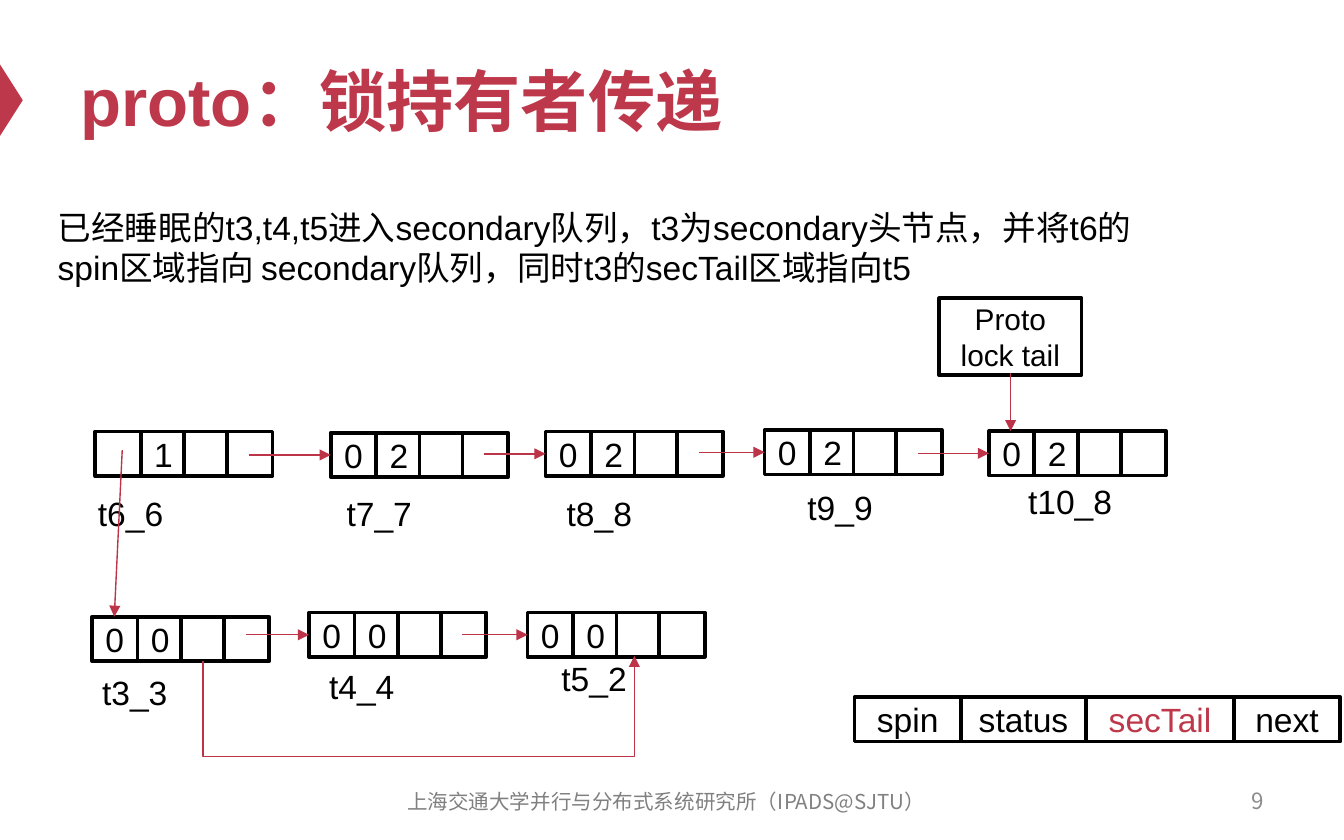
from lxml import etree
from pptx import Presentation
from pptx.dml.color import RGBColor
from pptx.enum import shapes, text
from pptx.oxml.ns import qn
from pptx.util import Cm, Pt

RED = RGBColor(0xBE, 0x38, 0x4B)
ARROW_RED = RGBColor(0xBD, 0x33, 0x47)
BLACK = RGBColor(0, 0, 0)
WHITE = RGBColor(255, 255, 255)
GRAY = RGBColor(0x80, 0x80, 0x80)
LIGHT_GRAY = RGBColor(0x8C, 0x8C, 0x8C)
LATIN, CJK = "Arial", "Noto Sans CJK SC"
LEFT, CENTER, RIGHT = text.PP_ALIGN.LEFT, text.PP_ALIGN.CENTER, text.PP_ALIGN.RIGHT

TITLE = "proto：锁持有者传递"
BODY = ("已经睡眠的t3,t4,t5进入secondary队列，t3为secondary头节点，"
        "并将t6的spin区域指向 secondary队列，同时t3的secTail区域指向t5")
FOOTER = "上海交通大学并行与分布式系统研究所（IPADS@SJTU）"
# Each queue: (left, top, spin, status, label, label left, label top), in cm
QUEUES = [
    [(1.8, 8.16, "", "1", "t6_6", 1.6, 9.19),
     (6.25, 8.18, "0", "2", "t7_7", 6.3, 9.19),
     (10.31, 8.16, "0", "2", "t8_8", 10.46, 9.19),
     (14.45, 8.13, "0", "2", "t9_9", 15.01, 9.09),
     (18.69, 8.15, "0", "2", "t10_8", 19.18, 8.97)],
    [(1.74, 11.66, "0", "0", "t3_3", 1.68, 12.57),
     (5.84, 11.58, "0", "0", "t4_4", 5.97, 12.47),
     (9.97, 11.58, "0", "0", "t5_2", 10.36, 12.32)],
]
FIELDS = [("spin", 2.01, BLACK), ("status", 2.37, BLACK),
          ("secTail", 2.79, RED), ("next", 2.01, BLACK)]
CELL_OFFSETS = (0, 0.86, 1.68, 2.49)
CELL_W, CELL_H = 0.86, 0.84
NEXT_START = 2.9  # where a node's next arrow starts, from its left edge


def write(tf, lines, size=18, color=BLACK, align=LEFT, font=LATIN,
          bold=False, anchor=text.MSO_ANCHOR.MIDDLE):
    tf.word_wrap = True
    tf.vertical_anchor = anchor
    for i, line in enumerate(lines):
        p = tf.add_paragraph() if i else tf.paragraphs[0]
        p.text = line
        p.alignment = align
        f = p.font
        f.size, f.bold, f.name = Pt(size), bold, font
        f.color.rgb = color
        etree.SubElement(f._element, qn("a:ea")).set("typeface", CJK)


def text_box(slide, box, line, **style):
    write(slide.shapes.add_textbox(*map(Cm, box)).text_frame, [line], **style)


def cell(slide, box, lines, **style):
    sp = slide.shapes.add_shape(shapes.MSO_SHAPE.RECTANGLE, *map(Cm, box))
    sp.shadow.inherit = False
    sp.fill.solid()
    sp.fill.fore_color.rgb = WHITE
    sp.line.color.rgb = BLACK
    sp.line.width = Pt(2)
    tf = sp.text_frame
    tf.margin_left = tf.margin_right = 0
    if any(lines):
        write(tf, lines, align=CENTER, **style)


def arrow(slide, *ends, kind=shapes.MSO_CONNECTOR.STRAIGHT):
    c = slide.shapes.add_connector(kind, *map(Cm, ends))
    c.line.color.rgb = ARROW_RED
    c.line.width = Pt(0.75)
    etree.SubElement(c.line._get_or_add_ln(), qn("a:tailEnd")).set("type", "triangle")
    etree.SubElement(c._element.spPr, qn("a:effectLst"))
    return c


def u_arrow(slide, x1, y1, x2, y2, bottom):
    """Elbow arrow that drops to bottom and rises to its end: a quarter-turned connector."""
    cx, cy = (x1 + x2) / 2, (y1 + y2) / 2
    dx, dy = (x2 - x1) / 2, (y1 - y2) / 2
    c = arrow(slide, cx + dy, cy + dx, cx - dy, cy - dx,
              kind=shapes.MSO_CONNECTOR.ELBOW)
    sp_pr = c._element.spPr
    sp_pr.find(qn("a:xfrm")).set("rot", "5400000")
    geom = sp_pr.find(qn("a:prstGeom"))
    av = geom.find(qn("a:avLst"))
    if av is None:
        av = etree.SubElement(geom, qn("a:avLst"))
    gd = etree.SubElement(av, qn("a:gd"))
    gd.set("name", "adj1")
    gd.set("fmla", f"val {round(-(bottom - y1) / (y1 - y2) * 100000)}")


def main():
    prs = Presentation()
    prs.slide_width, prs.slide_height = Cm(25.4), Cm(15.88)
    s = prs.slides.add_slide(prs.slide_layouts[6])

    marker = s.shapes.add_shape(shapes.MSO_SHAPE.ISOSCELES_TRIANGLE,
                                Cm(-0.46), Cm(1.68), Cm(1.35), Cm(0.43))
    marker.rotation = 90
    marker.shadow.inherit = False
    marker.fill.solid()
    marker.fill.fore_color.rgb = RED
    marker.line.fill.background()

    text_box(s, (1.27, 0.64, 22.86, 2.49), TITLE, size=36, color=RED, bold=True)
    text_box(s, (0.84, 3.78, 21.87, 1.8), BODY, anchor=text.MSO_ANCHOR.TOP)
    text_box(s, (7.09, 14.73, 11, 0.84), FOOTER, size=11, color=GRAY,
             align=CENTER, font=CJK)
    text_box(s, (18.21, 14.71, 5.92, 0.84), "9", size=12, color=LIGHT_GRAY,
             align=RIGHT, font=CJK)

    for queue in QUEUES:
        for left, top, spin, status, label, label_x, label_y in queue:
            for dx, value in zip(CELL_OFFSETS, (spin, status, "", "")):
                cell(s, (left + dx, top, CELL_W, CELL_H), [value])
            text_box(s, (label_x, label_y, 2.6, 1.02), label,
                     anchor=text.MSO_ANCHOR.TOP)
        for node, following in zip(queue, queue[1:]):
            y = following[1] + CELL_H / 2
            arrow(s, node[0] + NEXT_START, y, following[0], y)

    cell(s, (17.75, 5.64, 2.69, 1.45), ["Proto", "lock tail"], size=16)
    arrow(s, 19.1, 7.06, 19.1, 8.15)
    arrow(s, 2.31, 8.51, 2.16, 11.66)
    u_arrow(s, 3.84, 12.5, 11.99, 12.4, bottom=14.3)

    x = 16.15
    for name, width, color in FIELDS:
        cell(s, (x, 13.18, width, CELL_H), [name], color=color)
        x += width

    prs.save("out.pptx")


if __name__ == "__main__":
    main()
